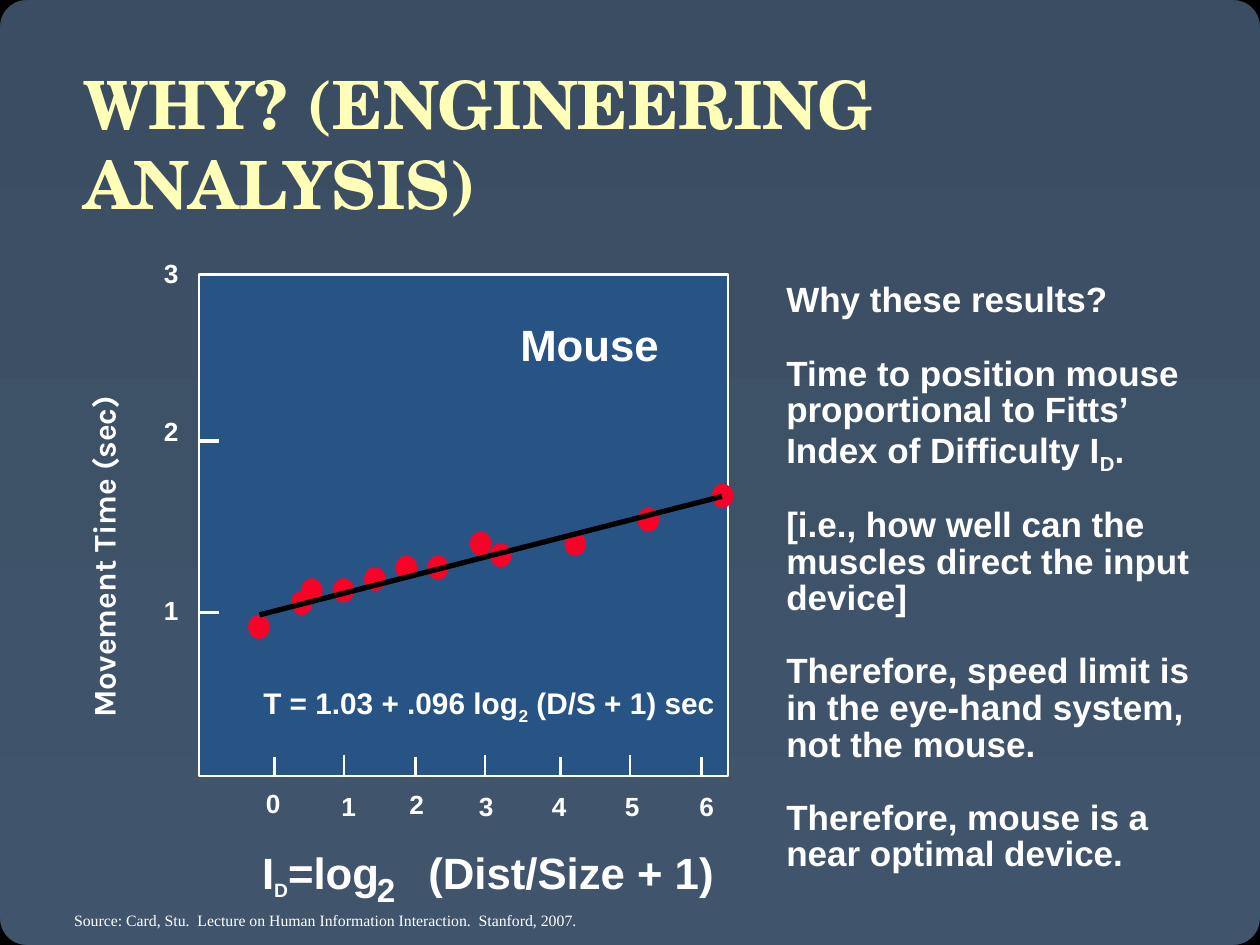
import math
import lxml.etree
import pptx
import pptx.dml.color
import pptx.enum.shapes
import pptx.enum.text
import pptx.oxml.ns
import pptx.util

Inches, Pt = pptx.util.Inches, pptx.util.Pt
qn = pptx.oxml.ns.qn
MSO_SHAPE = pptx.enum.shapes.MSO_SHAPE
COLORS = {
    name: pptx.dml.color.RGBColor.from_string(value)
    for name, value in {
        "top": "3A4D62", "bottom": "40556C", "title": "FFFFB7", "plot": "275485",
        "dot": "FC0128", "white": "FFFFFF", "black": "000000",
    }.items()
}


def add_text(x, y, w, h, paragraphs, size, font="Arial", bold=True, spacing=0.87,
             wrap=False, inset=(0.07, 0.03), gap=0, tab=None):
    """Each paragraph is a list of (text, size or None, is_subscript) runs."""
    sp = s.shapes.add_textbox(Inches(x), Inches(y), Inches(w), Inches(h))
    tf = sp.text_frame
    tf.word_wrap = wrap
    tf.auto_size = pptx.enum.text.MSO_AUTO_SIZE.SHAPE_TO_FIT_TEXT
    tf.margin_left = tf.margin_right = Inches(inset[0])
    tf.margin_top = tf.margin_bottom = Inches(inset[1])
    for i, runs in enumerate(paragraphs):
        p = tf.add_paragraph() if i else tf.paragraphs[0]
        p.line_spacing = spacing
        if i and gap:
            p.space_before = Pt(gap)
        if tab:
            tabs = lxml.etree.SubElement(p._p.get_or_add_pPr(), qn("a:tabLst"))
            lxml.etree.SubElement(tabs, qn("a:tab"), pos=str(Inches(tab)), algn="l")
        p.font.size, p.font.name, p.font.bold = Pt(size), font, bold
        p.font.color.rgb = COLORS["white"]
        for text, run_size, subscript in runs:
            r = p.add_run()
            r.text = text
            if run_size:
                r.font.size = Pt(run_size)
            if subscript:
                r._r.get_or_add_rPr().set("baseline", "-25000")
    return sp


def add_line(x1, y1, x2, y2, color="white", width=1.5):
    line = s.shapes.add_connector(
        pptx.enum.shapes.MSO_CONNECTOR.STRAIGHT,
        Inches(x1), Inches(y1), Inches(x2), Inches(y2))
    line.line.color.rgb = COLORS[color]
    line.line.width = Pt(width)
    lxml.etree.SubElement(line._element.spPr, qn("a:effectLst"))


prs = pptx.Presentation()
prs.slide_width, prs.slide_height = Inches(10), Inches(7.5)
s = prs.slides.add_slide(prs.slide_layouts[5])

# Background gradient
fill = s.background.fill
fill.gradient()
fill.gradient_angle = 270
for stop, name in zip(fill.gradient_stops, ("top", "bottom")):
    stop.color.rgb = COLORS[name]

# Black rounded corners
RADIUS = 0.21
for cx, dx in ((0, 1), (10, -1)):
    for cy, dy in ((0, 1), (7.5, -1)):
        arc = []
        for degrees in range(0, 91, 5):
            a = math.radians(degrees)
            arc.append((Inches(cx + dx * RADIUS * (1 - math.sin(a))),
                        Inches(cy + dy * RADIUS * (1 - math.cos(a)))))
        builder = s.shapes.build_freeform(Inches(cx), Inches(cy))
        builder.add_line_segments(arc, close=True)
        corner = builder.convert_to_shape()
        corner.shadow.inherit = False
        corner.fill.solid()
        corner.fill.fore_color.rgb = COLORS["black"]
        corner.line.fill.background()

# Title
title = s.shapes.title
title.left, title.top = Inches(0.56), Inches(0.45)
title.width, title.height = Inches(9.17), Inches(1.12)
tf = title.text_frame
tf.word_wrap = True
tf.auto_size = pptx.enum.text.MSO_AUTO_SIZE.NONE
tf.vertical_anchor = pptx.enum.text.MSO_ANCHOR.TOP
tf.text = "WHY? (ENGINEERING ANALYSIS)"
p = tf.paragraphs[0]
p.alignment = pptx.enum.text.PP_ALIGN.LEFT
p.font.name, p.font.size, p.font.bold = "TeX Gyre Schola", Pt(38), True
p.font.color.rgb = COLORS["title"]

# Plot area
plot = s.shapes.add_shape(MSO_SHAPE.RECTANGLE, Inches(1.58), Inches(2.18),
                          Inches(4.2), Inches(3.98))
plot.shadow.inherit = False
plot.fill.solid()
plot.fill.fore_color.rgb = COLORS["plot"]
plot.line.color.rgb = COLORS["white"]
plot.line.width = Pt(1.5)

# Data points
for x, y in ((1.97, 4.88), (5.65, 3.84), (5.06, 4.03), (4.48, 4.22), (3.89, 4.31),
             (3.39, 4.41), (3.14, 4.41), (2.89, 4.5), (2.31, 4.69), (2.64, 4.59),
             (2.39, 4.59), (3.73, 4.22)):
    dot = s.shapes.add_shape(MSO_SHAPE.OVAL, Inches(x), Inches(y),
                             Inches(0.17), Inches(0.19))
    dot.shadow.inherit = False
    dot.fill.solid()
    dot.fill.fore_color.rgb = COLORS["dot"]
    dot.line.fill.background()

# Axis ticks and regression line
for y, width in ((3.5, 2.25), (4.86, 1.5)):
    add_line(1.57, y, 1.74, y, width=width)
for x, y in ((2.18, 6.01), (2.73, 5.99), (3.3, 6.01), (3.85, 5.99),
             (4.45, 6.01), (5, 5.99), (5.57, 6.01)):
    add_line(x, y, x, y + 0.16)
add_line(2.06, 4.88, 5.73, 3.94, "black", 3)

# Axis numbers
y_numbers = [(1.23, y, n) for n, y in enumerate((4.72, 3.3, 2.05), 1)]
x_numbers = [(x, y, n) for n, (x, y) in enumerate(
    ((2.04, 6.25), (2.64, 6.28), (3.18, 6.26), (3.73, 6.28),
     (4.31, 6.28), (4.89, 6.28), (5.48, 6.28)))]
for x, y, number in y_numbers + x_numbers:
    add_text(x, y, 0.26, 0.28, [[(str(number), None, False)]], 15)

# Axis titles
y_title = add_text(-1.08, 3.43, 4.08, 0.59, [[("Movement Time (sec)", None, False)]],
                   18, font="Karla", spacing=0.93, wrap=True)
y_title.rotation = 270
add_text(2.01, 6.72, 3.73, 0.44,
         [[("I", None, False), ("D", 19, True), ("=log\t(Dist/Size + 1)", None, False)]],
         25, tab=1.32)
add_text(2.92, 6.92, 0.29, 0.33, [[("2", None, False)]], 19, spacing=0.85)

# Labels inside the plot
add_text(4.06, 2.55, 1.25, 0.42, [[("Mouse", None, False)]], 25)
add_text(2.02, 5.42, 3.73, 0.34,
         [[("T = 1.03 + .096 log", None, False), ("2", None, True),
           (" (D/S + 1) sec", None, False)]], 17)

# Explanation
add_text(6.17, 2.22, 3.42, 4.74, [
    [("Why these results?", None, False)],
    [("Time to position mouse proportional to Fitts’ Index of Difficulty I", None, False),
     ("D", None, True), (".", None, False)],
    [("[i.e., how well can the muscles direct the input device]", None, False)],
    [("Therefore, speed limit is in the eye-hand system, not the mouse.", None, False)],
    [("Therefore, mouse is a near optimal device.", None, False)],
], 20, wrap=True, gap=21)

# Source, in a box with room to spare on one line
add_text(0.49, 7.18, 4.6, 0.25,
         [[("Source: Card, Stu.  Lecture on Human Information Interaction.  "
            "Stanford, 2007.", None, False)]],
         9, font="Times New Roman", bold=False, spacing=1.0, wrap=True,
         inset=(0.1, 0.05))

prs.save("out.pptx")
